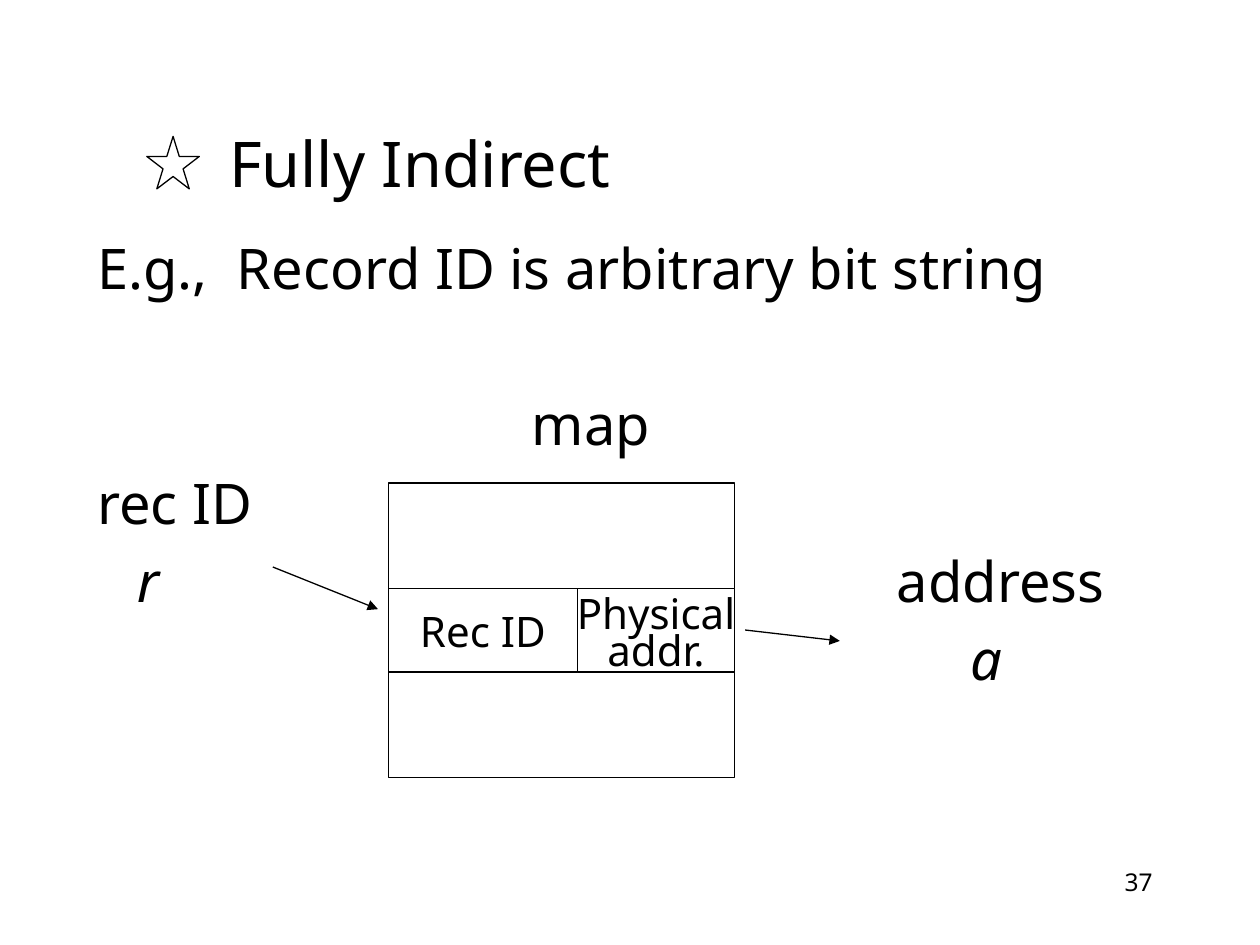
from lxml import etree
from pptx import Presentation
from pptx import util as u
from pptx.dml.color import RGBColor
from pptx.enum import shapes, text
from pptx.oxml import ns

Cm = u.Cm
COLORS = {"ink": "000000", "paper": "FFFFFF"}
FONT = "Noto Sans"
ALIGN = text.PP_ALIGN


def color(name):
    return RGBColor.from_string(COLORS[name])


def write(shape, lines, size, align, anchor, italic=False, wrap=True):
    frame = shape.text_frame
    frame.word_wrap = wrap
    frame.vertical_anchor = anchor
    frame.margin_left = frame.margin_right = 0
    frame.margin_top = frame.margin_bottom = 0
    frame.text = "\n".join(lines)
    for paragraph in frame.paragraphs:
        paragraph.alignment = align
        font = paragraph.font
        font.name, font.size, font.italic = FONT, u.Pt(size), italic
        font.color.rgb = color("ink")
    return frame


def label(slide, box, wording, size=32, align=ALIGN.LEFT,
          anchor=text.MSO_ANCHOR.TOP, italic=False):
    area = slide.shapes.add_textbox(*map(Cm, box))
    write(area, [wording], size, align, anchor, italic)


def outlined(slide, kind, box):
    shape = slide.shapes.add_shape(kind, *map(Cm, box))
    shape.shadow.inherit = False
    shape.fill.solid()
    shape.fill.fore_color.rgb = color("paper")
    shape.line.color.rgb = color("ink")
    shape.line.width = u.Pt(0.75)
    return shape


def arrow(slide, start, end):
    link = slide.shapes.add_connector(
        shapes.MSO_CONNECTOR.STRAIGHT, *map(Cm, start + end))
    link.line.color.rgb = color("ink")
    link.line.width = u.Pt(0.75)
    head = etree.SubElement(link.line._get_or_add_ln(), ns.qn("a:tailEnd"))
    head.set("type", "triangle")
    etree.SubElement(link._element.spPr, ns.qn("a:effectLst"))


def heading(slide, left, top, width, height):
    outlined(slide, shapes.MSO_SHAPE.STAR_5_POINT,
             (left + 1.06, top + 1.06, 1.06, 1.06))
    indent = 2.72
    label(slide, (left + indent, top, width - indent, height),
          "Fully Indirect", 36, anchor=text.MSO_ANCHOR.MIDDLE)


def body(slide, left, top, width):
    pitch = 1.58
    # Text, line number, indent, width, italic
    entries = [
        ("E.g.,  Record ID is arbitrary bit string", 0, 0, width, False),
        ("map", 2, 8.76, 3, False),
        ("rec ID", 3, 0, 5, False),
        ("r", 4, 0.8, 1, True),
        ("address", 4, 16.12, 5, False),
        ("a", 5, 17.6, 1, True),
    ]
    for wording, line, indent, room, italic in entries:
        label(slide, (left + indent, top + line * pitch, room, pitch),
              wording, italic=italic)


def record_map(slide, left, top, width, height):
    rect = shapes.MSO_SHAPE.RECTANGLE
    outlined(slide, rect, (left, top, width, height))
    # The one entry that is shown
    row_top, row_height, id_width = top + 2.12, 1.69, 3.81
    cells = [
        (["Physical", "addr."], left + id_width, width - id_width),
        (["Rec ID"], left, id_width),
    ]
    for lines, cell_left, cell_width in cells:
        cell = outlined(slide, rect,
                        (cell_left, row_top, cell_width, row_height))
        frame = write(cell, lines, 24, ALIGN.CENTER,
                      text.MSO_ANCHOR.MIDDLE, wrap=False)
        for paragraph in frame.paragraphs[1:]:
            paragraph.line_spacing = 0.7
    # Lookup from record ID to address
    arrow(slide, (left - 2.33, top + 1.69), (left - 0.21, top + 2.54))
    arrow(slide, (left + width + 0.21, top + 2.96),
          (left + width + 2.12, top + 3.18))


def page_number(slide, left, top, width, height):
    label(slide, (left, top, width, height), "37", 14, ALIGN.RIGHT)


deck = Presentation()
deck.slide_width, deck.slide_height = Cm(25.4), Cm(19.05)
page = deck.slides.add_slide(deck.slide_layouts[6])
page.background.fill.solid()
page.background.fill.fore_color.rgb = color("paper")

heading(page, 1.9, 1.69, 21.59, 3.18)
body(page, 1.96, 4.7, 21.1)
record_map(page, 7.83, 9.74, 6.98, 5.93)
page_number(page, 18.2, 17.47, 5.04, 1.1)
deck.save("out.pptx")
